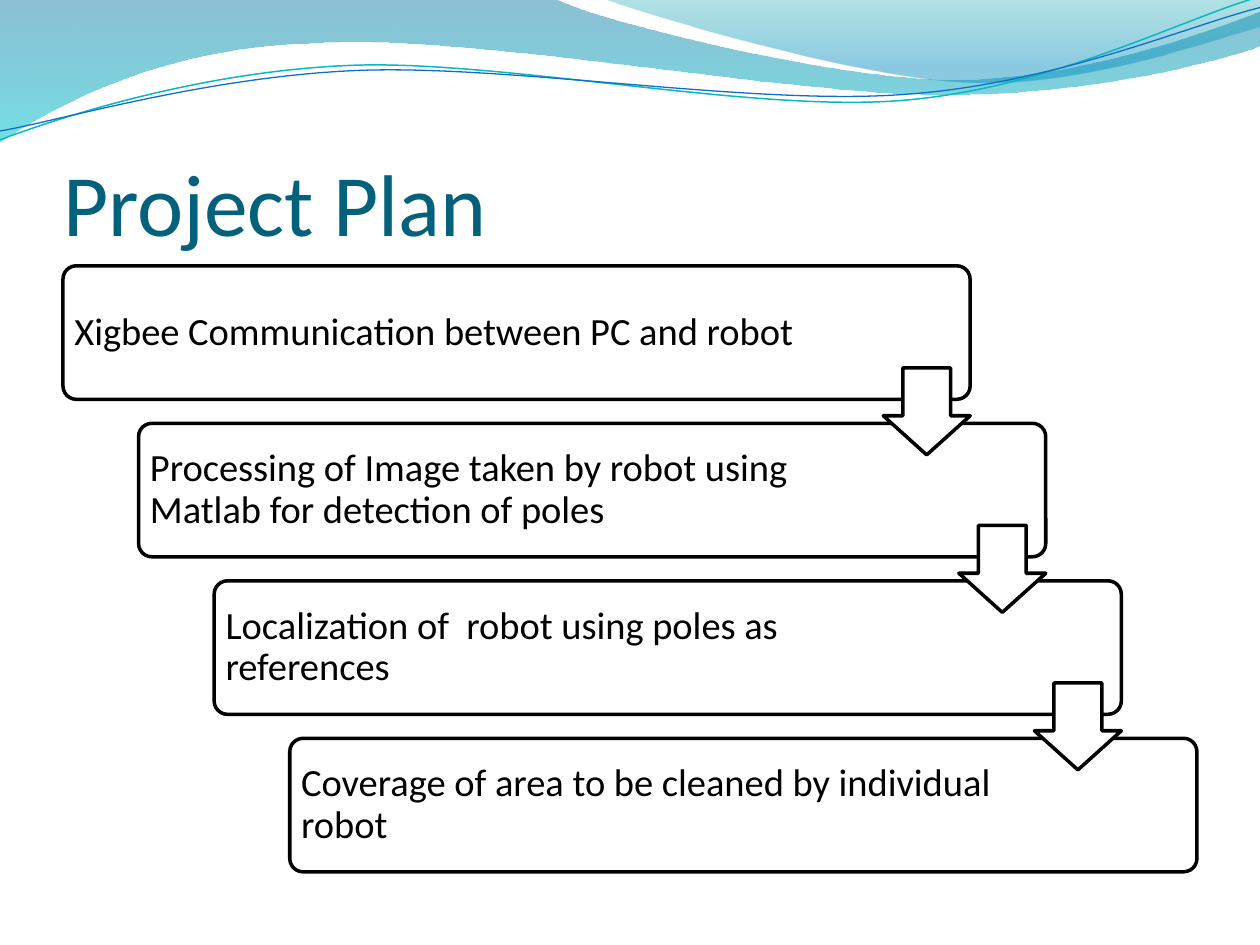
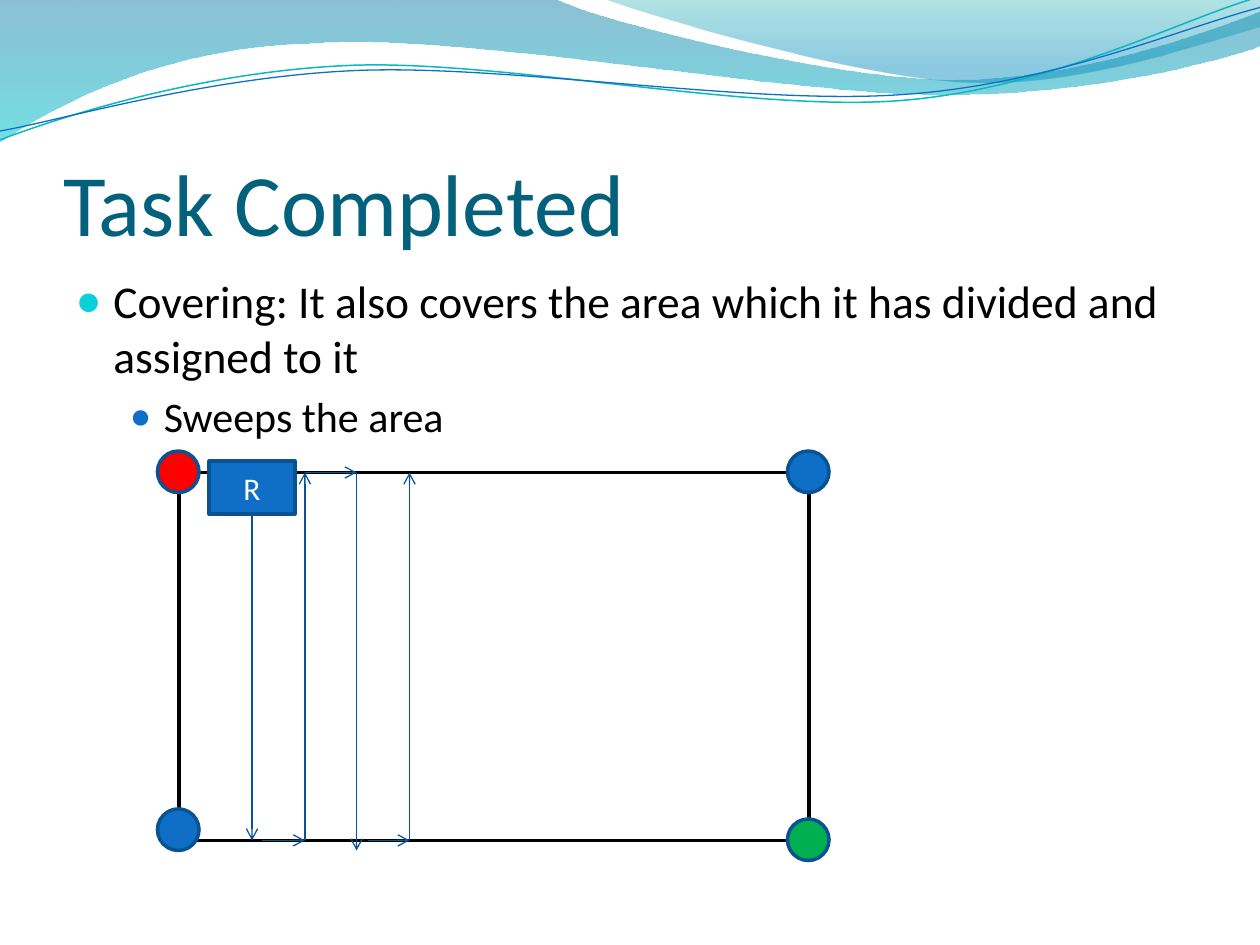
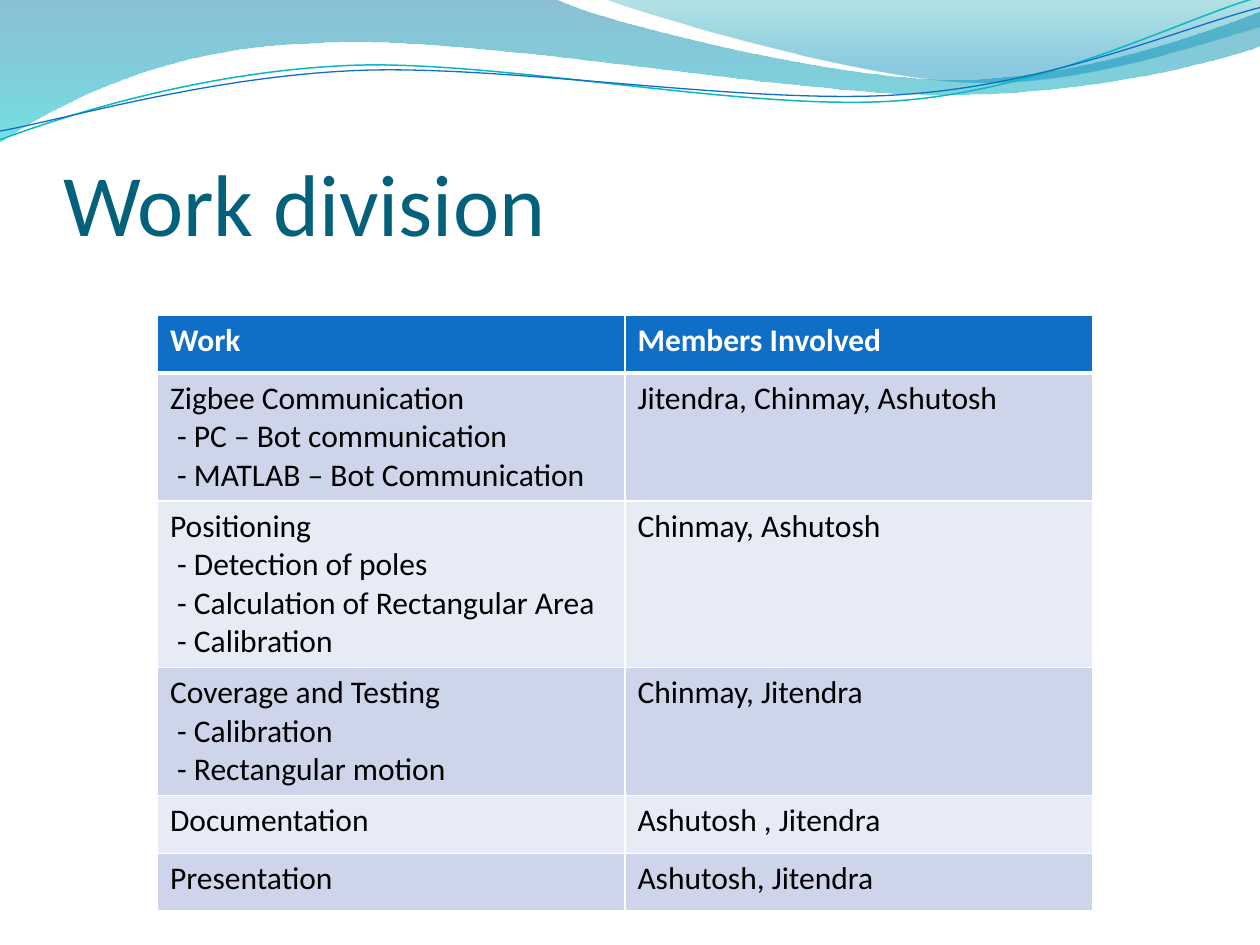
from lxml.etree import Element, SubElement
from pptx import Presentation
from pptx.dml.color import RGBColor
from pptx.enum.shapes import MSO_CONNECTOR, MSO_SHAPE as SHAPE
from pptx.enum.text import MSO_ANCHOR as ANCHOR, MSO_AUTO_SIZE, PP_ALIGN as ALIGN
from pptx.oxml import parse_xml
from pptx.oxml.ns import nsdecls, qn
from pptx.util import Inches, Pt

FONT = "Calibri"
BLACK, WHITE = "000000", "FFFFFF"
TITLE, BLUE, CYAN = "04617B", "0F6FC6", "0BD0D9"
OUTLINE, ROUTE = "0B5292", "095295"
RED, GREEN = "FF0000", "00B050"
BANDS = ["E7EBF5", "CCD5EA"]
TITLE_ONLY, TITLE_AND_BODY = 5, 1

BAND_WAVES = [
    ((0, 0), [
        [(4.4, -0.01)],
        [(4.76, 0.17), (6.64, 0.63), (7.58, 0.63)],
        [(8.53, 0.63), (9.58, 0.26), (10, 0.09)],
        [(10.01, 0.36)],
        [(9.83, 0.44), (8.7, 0.76), (7.46, 0.75)],
        [(6.22, 0.75), (3.82, 0.28), (2.57, 0.34)],
        [(1.29, 0.36), (0.46, 0.83), (-0.01, 1.13)],
    ], [(0, "0074A1", 45), (1, "00C6CF", 55)]),
    ((4.79, -0.01), [
        [(5.09, 0.11), (6.82, 0.62), (7.69, 0.65)],
        [(8.56, 0.69), (9.61, 0.32), (10, 0.21)],
        [(10, 0)],
    ], [(0, "00A1A9", 30), (0.8, "008BBF", 45)]),
]
LINE_WAVES = [
    ((0, 1.11), [
        [(0.48, 0.93), (1.58, 0.57), (2.77, 0.52)],
        [(3.95, 0.47), (5.93, 0.89), (7.13, 0.8)],
        [(8.33, 0.71), (9.38, 0.15), (9.98, -0.02)],
    ], "0AB8BF", 0.85),
    ((0, 1.04), [
        [(0.47, 0.96), (1.64, 0.61), (2.83, 0.56)],
        [(4.03, 0.51), (5.97, 0.84), (7.17, 0.75)],
        [(8.36, 0.67), (9.41, 0.21), (10, 0.06)],
    ], BLUE, 0.75),
]
STEPS = [
    "Xigbee Communication between PC and robot",
    "Processing of Image taken by robot using Matlab for detection of poles",
    "Localization of  robot using poles as references",
    "Coverage of area to be cleaned by individual robot",
]
POLES = [(1.25, 3.58, RED), (1.25, 6.42, BLUE), (6.25, 3.58, BLUE), (6.25, 6.5, GREEN)]
SWEEPS = [
    ((2.08, 6.67), (2.42, 6.67)),
    ((2.42, 6.67), (2.42, 3.75)),
    ((2.42, 3.75), (2.83, 3.75)),
    ((2.83, 3.75), (2.83, 6.75)),
    ((2.92, 6.67), (3.25, 6.67)),
    ((3.25, 6.67), (3.25, 3.75)),
]
WORK = [
    (["Work"], "Members Involved"),
    (["Zigbee Communication", " - PC – Bot communication",
      " - MATLAB – Bot Communication"], "Jitendra, Chinmay, Ashutosh"),
    (["Positioning", " - Detection of poles", " - Calculation of Rectangular Area",
      " - Calibration"], "Chinmay, Ashutosh"),
    (["Coverage and Testing", " - Calibration", " - Rectangular motion"],
     "Chinmay, Jitendra"),
    (["Documentation"], "Ashutosh , Jitendra"),
    (["Presentation"], "Ashutosh, Jitendra"),
]


def rgb(color):
    return RGBColor.from_string(color)


def place(shape, x, y, w, h):
    shape.left, shape.top, shape.width, shape.height = map(Inches, (x, y, w, h))


def set_margins(tf, left, top, right, bottom):
    tf.margin_left, tf.margin_top = Inches(left), Inches(top)
    tf.margin_right, tf.margin_bottom = Inches(right), Inches(bottom)


def add_run(p, text, size, color=BLACK, bold=False):
    r = p.add_run()
    r.text = text
    r.font.name, r.font.size, r.font.bold = FONT, Pt(size), bold
    r.font.color.rgb = rgb(color)


def paragraph(tf, index):
    return tf.paragraphs[0] if index == 0 else tf.add_paragraph()


def set_line(line, color, width):
    line.color.rgb = rgb(color)
    line.width = Pt(width)


def add_box(s, kind, x, y, w, h, fill=WHITE, line=BLACK, adjustments=()):
    sp = s.shapes.add_shape(kind, *map(Inches, (x, y, w, h)))
    sp.shadow.inherit = False
    sp.fill.solid()
    sp.fill.fore_color.rgb = rgb(fill)
    set_line(sp.line, line, 2)
    for i, value in enumerate(adjustments):
        sp.adjustments[i] = value
    return sp


def add_arrow(s, start, end):
    c = s.shapes.add_connector(MSO_CONNECTOR.STRAIGHT, *map(Inches, start + end))
    set_line(c.line, ROUTE, 0.75)
    sp_pr = c.element.spPr
    SubElement(sp_pr.find(qn("a:ln")), qn("a:tailEnd"), type="arrow")
    SubElement(sp_pr, qn("a:effectLst"))
    return c


def bend(sp, node, controls):
    node.tag = qn("a:cubicBezTo")
    for i, (x, y) in enumerate(controls):
        node.insert(i, Element(qn("a:pt"), x=str(Inches(x) - sp.left),
                               y=str(Inches(y) - sp.top)))


def add_wave(s, start, segments, closed):
    anchors = [start] + [segment[-1] for segment in segments]
    emu = [(Inches(x), Inches(y)) for x, y in anchors]
    builder = s.shapes.build_freeform(*emu[0], scale=1.0)
    builder.add_line_segments(emu[1:], close=closed)
    sp = builder.convert_to_shape()
    sp.shadow.inherit = False
    for node, segment in zip(list(sp.element.spPr.iter(qn("a:lnTo"))), segments):
        if len(segment) == 3:
            bend(sp, node, segment[:2])
    return sp


def add_band_wave(s, start, segments, stops):
    sp = add_wave(s, start, segments, True)
    sp.line.fill.background()
    sp.fill.gradient()
    sp.fill.gradient_angle = 270
    for stop, (position, color, _) in zip(sp.fill.gradient_stops, stops):
        stop.position = position
        stop.color.rgb = rgb(color)
    colors = sp.element.spPr.iter(qn("a:srgbClr"))
    for node, (_, _, opacity) in zip(list(colors), stops):
        SubElement(node, qn("a:alpha"), val=str(opacity * 1000))
    return sp


def add_line_wave(s, start, segments, color, width):
    sp = add_wave(s, start, segments, False)
    sp.fill.background()
    set_line(sp.line, color, width)
    return sp


def add_master_waves(prs, s):
    waves = [add_band_wave(s, *wave) for wave in BAND_WAVES]
    waves += [add_line_wave(s, *wave) for wave in LINE_WAVES]
    for i, wave in enumerate(waves):
        wave.element.nvSpPr.cNvPr.set("id", str(100 + i))
        prs.slide_master.shapes.element.insert(2 + i, wave.element)


def add_slide(prs, layout, title):
    s = prs.slides.add_slide(prs.slide_layouts[layout])
    place(s.shapes.title, 0.5, 0.77, 9, 1.25)
    tf = s.shapes.title.text_frame
    tf.auto_size = MSO_AUTO_SIZE.NONE
    tf.vertical_anchor = ANCHOR.BOTTOM
    set_margins(tf, 0, 0.05, 0, 0)
    p = tf.paragraphs[0]
    p.alignment = ALIGN.LEFT
    add_run(p, title, 50, TITLE)
    return s


def set_bullet(p, indent, hanging, color, percent):
    p_pr = p._p.get_or_add_pPr()
    p_pr.set("marL", str(Inches(indent)))
    p_pr.set("indent", str(-Inches(hanging)))
    SubElement(SubElement(p_pr, qn("a:buClr")), qn("a:srgbClr"), val=color)
    SubElement(p_pr, qn("a:buSzPct"), val=str(percent * 1000))
    SubElement(p_pr, qn("a:buChar"), char="●")


def fill_body(s, items):
    body = s.placeholders[1]
    place(body, 0.5, 2.12, 9, 4.8)
    tf = body.text_frame
    tf.auto_size = MSO_AUTO_SIZE.NONE
    for i, (text, level, size, bullet) in enumerate(items):
        p = paragraph(tf, i)
        p.level = level
        set_bullet(p, *bullet)
        add_run(p, text, size)


def add_step(s, x, y, text):
    add_box(s, SHAPE.ROUNDED_RECTANGLE, x, y, 7.2, 1.06, adjustments=[0.1])
    tf = s.shapes.add_textbox(*map(Inches, (x, y, 5.91, 1.06))).text_frame
    tf.word_wrap = True
    tf.vertical_anchor = ANCHOR.MIDDLE
    set_margins(tf, 0.09, 0.09, 0.09, 0.09)
    p = tf.paragraphs[0]
    p.line_spacing = 0.9
    add_run(p, text, 22)


def set_cell_borders(cell, top, bottom):
    tc_pr = cell._tc.get_or_add_tcPr()
    for i, (side, width) in enumerate(zip("LRTB", (1, 1, top, bottom))):
        tc_pr.insert(i, parse_xml(
            f'<a:ln{side} {nsdecls("a")} w="{Pt(width)}"><a:solidFill>'
            f'<a:srgbClr val="{WHITE}"/></a:solidFill></a:ln{side}>'))


def fill_cell(cell, lines, row):
    header = row == 0
    cell.fill.solid()
    cell.fill.fore_color.rgb = rgb(BLUE if header else BANDS[row % 2])
    set_cell_borders(cell, 3 if row == 1 else 1, 3 if header else 1)
    for i, line in enumerate(lines):
        add_run(paragraph(cell.text_frame, i), line, 18, WHITE if header else BLACK, header)


def add_work_table(s):
    frame = s.shapes.add_table(len(WORK), 2, *map(Inches, (1.25, 2.5, 7.42, 4.67)))
    table = frame.table
    for column in table.columns:
        column.width = Inches(3.71)
    for row, (tasks, members) in enumerate(WORK):
        table.rows[row].height = Inches(max(0.46, 0.1 + 0.3 * len(tasks)))
        fill_cell(table.cell(row, 0), tasks, row)
        fill_cell(table.cell(row, 1), [members], row)


def add_plan(s):
    for i, text in enumerate(STEPS):
        add_step(s, 0.5 + 0.6 * i, 2.11 + 1.25 * i, text)
    for i in range(len(STEPS) - 1):
        add_box(s, SHAPE.DOWN_ARROW, 7.01 + 0.6 * i, 2.92 + 1.25 * i, 0.69, 0.69,
                adjustments=[0.55, 0.45])


def add_sweep_diagram(s):
    add_box(s, SHAPE.RECTANGLE, 1.42, 3.75, 5, 2.92)
    robot = add_box(s, SHAPE.RECTANGLE, 1.66, 3.66, 0.68, 0.42, BLUE, OUTLINE)
    robot.text_frame.vertical_anchor = ANCHOR.MIDDLE
    p = robot.text_frame.paragraphs[0]
    p.alignment = ALIGN.CENTER
    add_run(p, "R", 18, WHITE)
    add_arrow(s, (2, 4.08), (2, 6.67)).begin_connect(robot, 2)
    for x, y, color in POLES:
        add_box(s, SHAPE.OVAL, x, y, 0.33, 0.33, color, OUTLINE)
    for start, end in SWEEPS:
        add_arrow(s, start, end)


def main():
    prs = Presentation()
    prs.slide_width, prs.slide_height = Inches(10), Inches(7.5)

    plan = add_slide(prs, TITLE_ONLY, "Project Plan")
    add_master_waves(prs, plan)
    add_plan(plan)

    task = add_slide(prs, TITLE_AND_BODY, "Task Completed")
    fill_body(task, [
        ("Covering: It also covers the area which it has divided and assigned to it",
         0, 26, (0.3, 0.3, CYAN, 95)),
        ("Sweeps the area", 1, 24, (0.7, 0.27, BLUE, 85)),
    ])
    add_sweep_diagram(task)

    add_work_table(add_slide(prs, TITLE_ONLY, "Work division"))
    prs.save("out.pptx")


if __name__ == "__main__":
    main()
